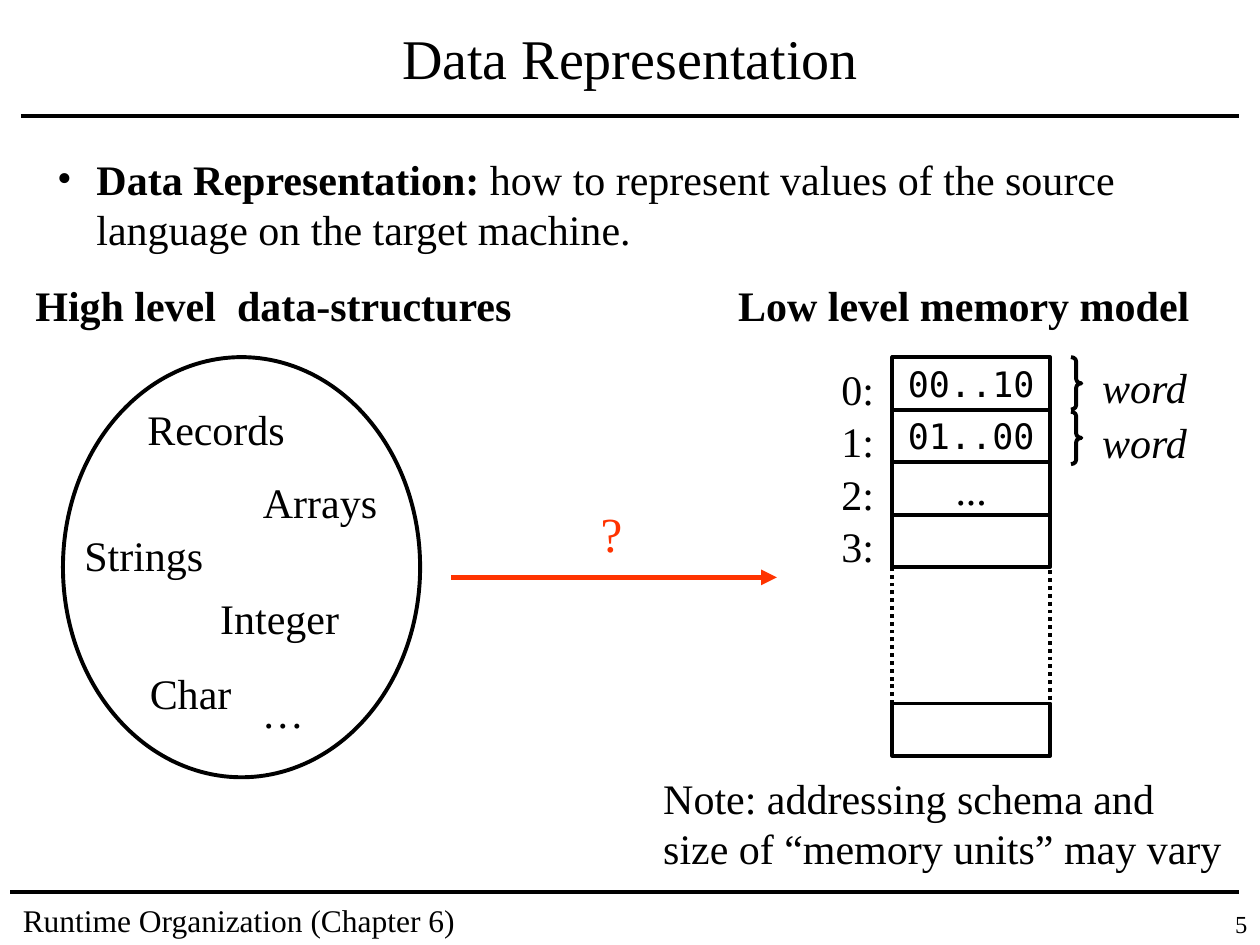
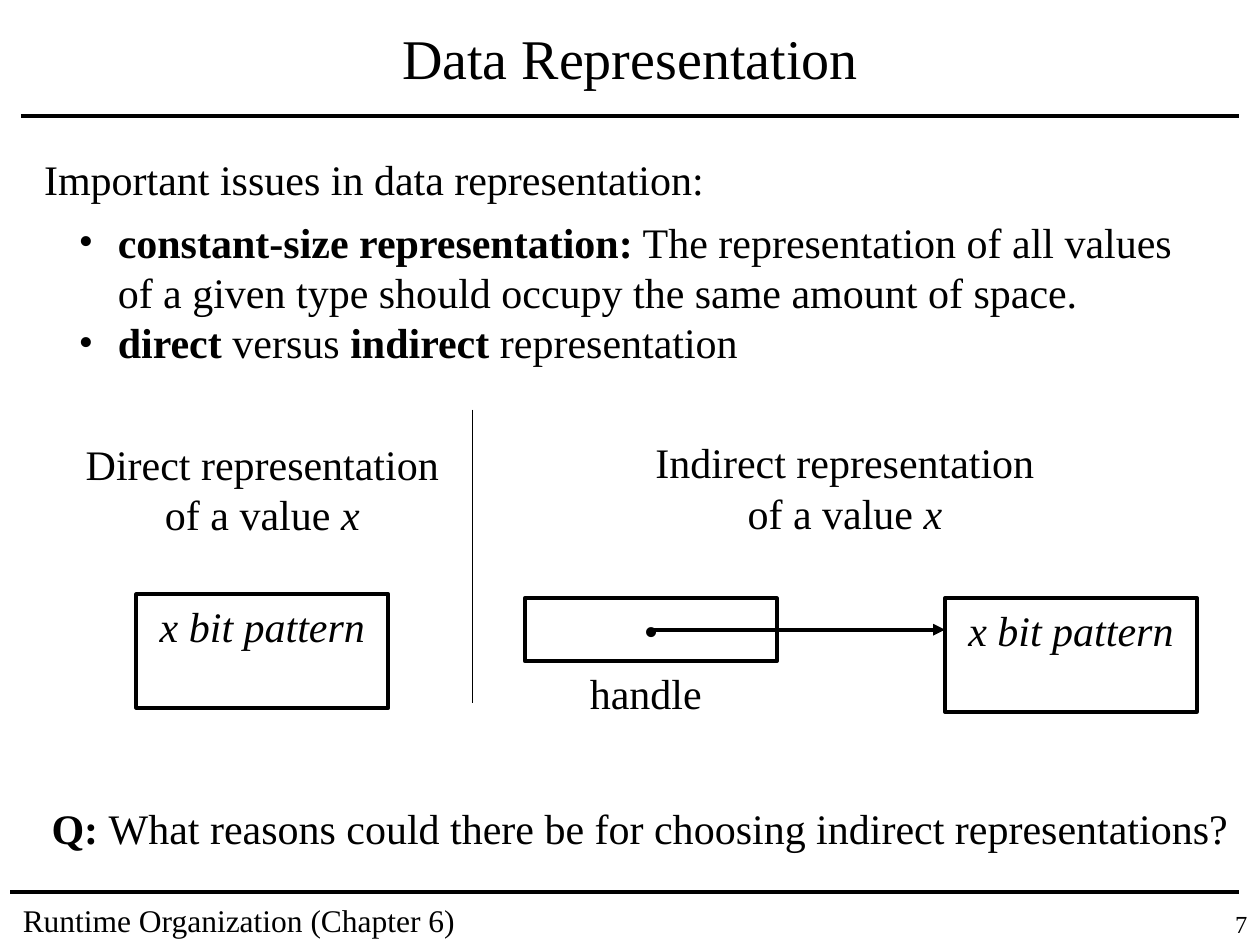
import pptx
import pptx.dml.color
import pptx.enum.dml
import pptx.enum.shapes
import pptx.enum.text
import pptx.oxml
import pptx.oxml.ns
import pptx.util

Cm = pptx.util.Cm
Pt = pptx.util.Pt
SHAPE = pptx.enum.shapes.MSO_SHAPE
ALIGN = pptx.enum.text.PP_ALIGN
ANCHOR = pptx.enum.text.MSO_ANCHOR
BLACK = pptx.dml.color.RGBColor(0, 0, 0)
WHITE = pptx.dml.color.RGBColor(0xFF, 0xFF, 0xFF)
RED = pptx.dml.color.RGBColor(0xFF, 0x33, 0x00)
SERIF = "Times New Roman"
MONO = "DejaVu Sans Mono"
BOLD = {"bold": True}
ITALIC = {"italic": True}
LINE_H = 1.27
TITLE = "Data Representation"
FOOTER = "Runtime Organization (Chapter 6)"


def add_xml(parent, tag, inner="", **attrs):
    """Append one DrawingML element with the given attributes."""
    pairs = "".join(f' {k}="{v}"' for k, v in attrs.items())
    ns = pptx.oxml.ns.nsdecls("a")
    parent.append(pptx.oxml.parse_xml(f"<a:{tag} {ns}{pairs}>{inner}</a:{tag}>"))


def write(tf, paras, size=24, font=SERIF, color=BLACK, align=ALIGN.LEFT,
          anchor=ANCHOR.TOP, wrap=True, bullet=False):
    """Fill a text frame; each paragraph is a string or a list of (text, format)."""
    frame = {"word_wrap": wrap, "vertical_anchor": anchor,
             "auto_size": pptx.enum.text.MSO_AUTO_SIZE.NONE}
    for name, value in frame.items():
        setattr(tf, name, value)
    for i, para in enumerate(paras):
        p = tf.add_paragraph() if i else tf.paragraphs[0]
        p.alignment = align
        p.space_before = Pt(0)
        if bullet:
            pPr = p._p.get_or_add_pPr()
            pPr.set("marL", str(Cm(1.27)))
            pPr.set("indent", str(Cm(-0.79)))
            add_xml(pPr, "buFont", typeface=SERIF)
            add_xml(pPr, "buChar", char="•")
        for text, extra in [(para, {})] if isinstance(para, str) else para:
            r = p.add_run()
            r.text = text
            for name, value in {"name": font, "size": Pt(size), **extra}.items():
                setattr(r.font, name, value)
            r.font.color.rgb = color


def add_text(s, box, *paras, **fmt):
    sp = s.shapes.add_textbox(*map(Cm, box))
    write(sp.text_frame, paras, **fmt)


def add_outline(s, kind, box, *paras, fill=None, **fmt):
    sp = s.shapes.add_shape(kind, *map(Cm, box))
    sp.shadow.inherit = False
    if fill is None:
        sp.fill.background()
    else:
        sp.fill.solid()
        sp.fill.fore_color.rgb = fill
    sp.line.color.rgb = BLACK
    sp.line.width = Pt(2.25)
    write(sp.text_frame, paras, align=ALIGN.CENTER, **fmt)
    return sp


def add_line(s, x1, y1, x2, y2, color=BLACK, width=2.25, arrow=False):
    cx = s.shapes.add_connector(pptx.enum.shapes.MSO_CONNECTOR.STRAIGHT,
                                *map(Cm, (x1, y1, x2, y2)))
    cx.line.color.rgb = color
    cx.line.width = Pt(width)
    if arrow:
        add_xml(cx.line._get_or_add_ln(), "tailEnd", type="triangle")
    add_xml(cx._element.spPr, "effectLst")


def place(sp, box):
    for name, value in zip(("left", "top", "width", "height"), box):
        setattr(sp, name, Cm(value))


def new_slide(prs, number, list_box, bullets):
    """Add a slide with title, bullet list, rules and footer."""
    s = prs.slides.add_slide(prs.slide_layouts[1])
    add_line(s, 0.42, 2.33, 24.98, 2.33)
    add_line(s, 0.21, 17.99, 24.98, 17.99)
    add_text(s, (0.21, 18.03, 9.74, 1.02), FOOTER, size=18)
    add_text(s, (23.5, 18.2, 1.9, 0.85), str(number), size=14, align=ALIGN.RIGHT)
    title, body = s.placeholders
    place(title, (0.64, 0.21, 24.13, 1.9))
    write(title.text_frame, [TITLE], size=32, align=ALIGN.CENTER, anchor=ANCHOR.MIDDLE)
    place(body, list_box)
    write(body.text_frame, bullets, bullet=True)
    return s


def add_data_structures(s, box):
    """Ellipse with the names of data types scattered inside."""
    x, y, w, h = box
    names = [("Records", 1.45, 0.8, 3.28), ("Arrays", 3.78, 2.28, 2.79),
             ("Strings", 0.18, 3.35, 2.9), ("Integer", 2.92, 4.62, 2.9),
             ("Char", 1.5, 6.13, 2.16), ("…", 3.76, 6.52, 1.35)]
    for name, dx, dy, width in names:
        add_text(s, (x + dx, y + dy, width, LINE_H), name, wrap=False)
    add_outline(s, SHAPE.OVAL, box)
    add_text(s, (x - 0.81, y - 1.69, 10.11, LINE_H),
             [("High level  data-structures", BOLD)], align=ALIGN.CENTER, wrap=False)


def add_memory(s, box):
    """Column of memory words: four cells, a dotted gap and a last cell."""
    x, y, w, h = box
    row = h / 7.6
    gap = add_outline(s, SHAPE.RECTANGLE, (x, y + 4 * row, w, 2.6 * row), fill=WHITE)
    gap.line.dash_style = pptx.enum.dml.MSO_LINE.ROUND_DOT
    mono = {"font": MONO, "size": 20}
    cells = [(0, ["00..10"], mono), (1, ["01..00"], mono), (2, ["..."], {}),
             (3, [], {}), (6.6, [], {})]
    for pos, text, fmt in cells:
        add_outline(s, SHAPE.RECTANGLE, (x, y + pos * row, w, row), *text,
                    fill=WHITE, anchor=ANCHOR.MIDDLE, wrap=False, **fmt)
    for i in range(4):
        add_text(s, (x - 1.28, y + i * row, 1.17, LINE_H), f"{i}:", wrap=False)
    for i in range(2):
        top = y + i * 1.1
        brace = add_outline(s, SHAPE.RIGHT_BRACE, (x + 3.6, top, 0.21, row))
        brace.adjustments[0] = 0.42
        add_text(s, (x + 3.98, top - 0.03, 2.24, LINE_H), [("word", ITALIC)], wrap=False)
    add_text(s, (x - 3.36, y - 1.69, 9.6, LINE_H),
             [("Low level memory model", BOLD)], wrap=False)
    add_text(s, (x - 4.87, y + h + 0.21, 11.86, 2.29),
             "Note: addressing schema and size of “memory units” may vary")


def add_mapping_arrow(s, box):
    x, y, w, h = box
    add_line(s, x, y + h, x + w, y + h, color=RED, width=3, arrow=True)
    add_text(s, (x + 2.76, y, 0.94, 1.45), "?", size=28, color=RED, wrap=False)


def add_heading(s, box, kind):
    add_text(s, box, f"{kind} representation", [("of a value ", {}), ("x", ITALIC)],
             align=ALIGN.CENTER)


def add_bit_pattern(s, x, y):
    add_outline(s, SHAPE.RECTANGLE, (x, y, 5.08, 2.29), [("x bit pattern", ITALIC)])


def add_direct(s, box):
    x, y, w, h = box
    add_heading(s, (x - 0.2, y, w + 0.4, 2.29), "Direct")
    add_bit_pattern(s, x + (w - 5.08) / 2, y + h - 2.29)


def add_indirect(s, box):
    """Handle on the left pointing at the bit pattern on the right."""
    x, y, w, h = box
    top = y + h - 2.29
    add_heading(s, (x + 0.42, y, 12.07, 2.29), "Indirect")
    add_bit_pattern(s, x + w - 5.08, top)
    add_outline(s, SHAPE.RECTANGLE, (x, top, 5.08, LINE_H), [("•", ITALIC)])
    add_line(s, x + 2.54, top + LINE_H / 2, x + w - 5.08, top + LINE_H / 2, arrow=True)
    add_text(s, (x + 1.06, top + LINE_H, 2.77, LINE_H), "handle", wrap=False)


def add_mapping_slide(prs):
    s = new_slide(prs, 5, (0.42, 2.96, 24.55, 2.29), [
        [("Data Representation:", BOLD),
         (" how to represent values of the source language on the target machine.", {})]])
    add_data_structures(s, (1.27, 7.2, 7.2, 8.47))
    add_mapping_arrow(s, (9.1, 10.03, 6.56, 1.61))
    add_memory(s, (17.99, 7.2, 3.18, 8.04))


def add_issues_slide(prs):
    s = new_slide(prs, 7, (0.85, 4.23, 23.28, 3.3), [
        [("constant-size representation:", BOLD),
         (" The representation of all values of a given type should occupy"
          " the same amount of space.", {})],
        [("direct", BOLD), (" versus ", {}), ("indirect ", BOLD), ("representation", {})]])
    add_text(s, (0.64, 2.96, 13.82, LINE_H),
             "Important issues in data representation:", wrap=False)
    add_direct(s, (1.48, 8.71, 7.62, 5.56))
    add_line(s, 9.53, 8.26, 9.53, 14.18, width=0.75)
    add_indirect(s, (10.58, 8.68, 13.55, 5.67))
    add_text(s, (0.79, 16.05, 24.23, LINE_H),
             [("Q: ", BOLD),
              ("What reasons could there be for choosing indirect representations?", {})],
             wrap=False)


def main():
    prs = pptx.Presentation()
    prs.slide_width, prs.slide_height = Cm(25.4), Cm(19.05)
    add_mapping_slide(prs)
    add_issues_slide(prs)
    prs.save("out.pptx")


if __name__ == "__main__":
    main()
